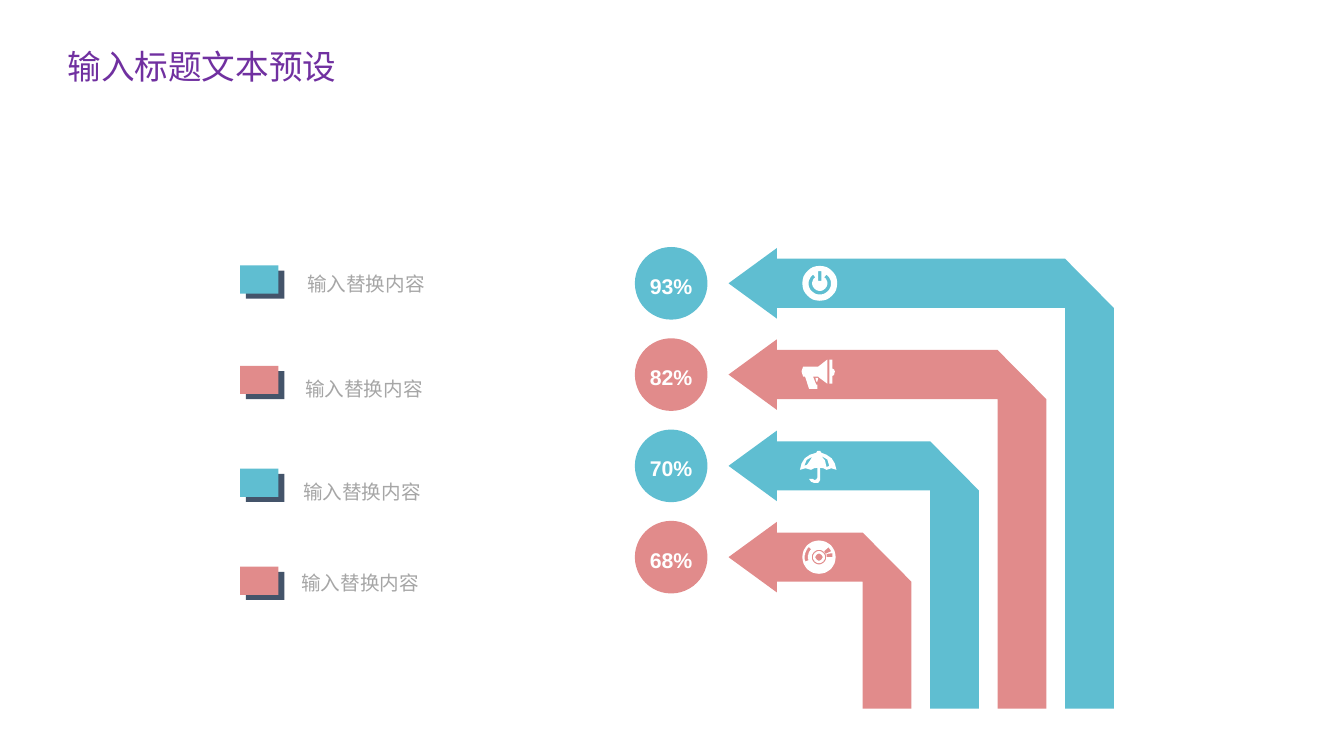
from math import cos, radians, sin

from pptx import Presentation
from pptx.dml.color import RGBColor
from pptx.enum.shapes import MSO_SHAPE as SHAPE
from pptx.enum.text import MSO_ANCHOR as ANCHOR, PP_ALIGN as ALIGN
from pptx.oxml.ns import qn
from pptx.util import Cm, Pt

TEAL = RGBColor(0x5F, 0xBE, 0xD1)
PINK = RGBColor(0xE1, 0x8B, 0x8B)
NAVY = RGBColor(0x44, 0x54, 0x6A)
GREY = RGBColor(0xA6, 0xA6, 0xA6)
PURPLE = RGBColor(0x70, 0x30, 0xA0)
WHITE = RGBColor(0xFF, 0xFF, 0xFF)
CJK = "Noto Sans CJK SC"

UNIT = Cm(0.01)  # outlines are given in hundredths of a centimetre
TIP_X, ICON_X, CIRCLE_X = 18.36, 20.66, 16.0
FIRST_Y, ROW_STEP = 7.14, 2.3
CIRCLE = 1.83


def arc(x, r, start, end, steps=32):
    """Points on a circle centred at (x, 0), angles clockwise from the right."""
    angles = [radians(start + (end - start) * i / steps) for i in range(steps + 1)]
    return [(x + r * cos(a), r * sin(a)) for a in angles]


def band(x, outer, inner, start, end):
    return arc(x, outer, start, end) + arc(x, inner, end, start)


POWER = [
    arc(0, 44, 0, 360),
    [(-4, -31), (4, -31), (4, -6), (-4, -6)],
    band(0, 28, 19, -53, 233),
]
MEGAPHONE = [
    [(-42, -20), (-4, -20), (19, -38), (19, 23), (-1, 8), (-4, 5), (-17, 5),
     (-9, 25), (-6, 25), (-6, 36), (-27, 36), (-37, 5), (-42, 5), (-46, -8)],
    [(24, -38), (32, -38), (32, -15), (36, -13), (38, -8), (36, 1), (32, 3),
     (32, 23), (24, 23)],
    [(-4, 8), (-11, 8), (-9, 18), (-6, 18)],
]
UMBRELLA = [
    [(-50, 10), (-46, -6), (-38, -19), (-25, -28), (-9, -33), (-6, -38),
     (1, -38), (4, -33), (17, -28), (30, -19), (38, -6), (42, 10), (29, 6),
     (17, 10), (9, 6), (1, 5), (1, 36), (-4, 43), (-14, 43), (-22, 40),
     (-27, 33), (-17, 33), (-13, 36), (-9, 34), (-6, 30), (-6, 5), (-14, 6),
     (-22, 10), (-36, 6)],
    [(17, 3), (24, 0), (19, -16), (4, -25), (13, -14)],
    [(-39, 0), (-32, -3), (-25, -13), (-19, -23), (-33, -15)],
]
DISC = [
    *[arc(-2, r, 0, 360) for r in (42, 18, 15, 9)],
    band(-2, 36, 28, 163, 225),
    [(11, -15), (14, -8), (29, -15), (22, -25)],
    [(32, -10), (17, -8), (17, 0), (32, 0)],
]

ARROWS = [
    ("93%", TEAL, POWER),
    ("82%", PINK, MEGAPHONE),
    ("70%", TEAL, UMBRELLA),
    ("68%", PINK, DISC),
]
# swatch top, label left, label top, colour
LEGEND = [
    (6.69, 7.49, 6.6, TEAL),
    (9.22, 7.44, 9.25, PINK),
    (11.81, 7.39, 11.84, TEAL),
    (14.28, 7.34, 14.15, PINK),
]


def paint(s, colour):
    s.shadow.inherit = False
    s.fill.solid()
    s.fill.fore_color.rgb = colour
    s.line.fill.background()


def add_preset(slide, kind, x, y, w, h, colour):
    s = slide.shapes.add_shape(kind, Cm(x), Cm(y), Cm(w), Cm(h))
    paint(s, colour)
    return s


def add_outline(slide, x, y, contours, colour):
    """Closed contours around (x, y); inner contours become holes."""
    builder = slide.shapes.build_freeform(*contours[0][0], scale=UNIT)
    for i, points in enumerate(contours):
        if i:
            builder.move_to(*points[0])
        builder.add_line_segments(points[1:], close=True)
    paint(builder.convert_to_shape(Cm(x), Cm(y)), colour)


def write(tf, text, align, spacing, colour, **font):
    p = tf.paragraphs[0]
    p.alignment = align
    p.line_spacing = spacing
    r = p.add_run()
    r.text = text
    for name, value in font.items():
        setattr(r.font, name, value)
    r.font.color.rgb = colour
    ea = r.font._element.makeelement(qn("a:ea"), {"typeface": CJK})
    r.font._element.find(qn("a:latin")).addnext(ea)


def add_title(slide, text):
    s = slide.shapes.title
    s.left, s.top, s.width, s.height = Cm(1.45), Cm(1.02), Cm(8.53), Cm(1.27)
    s.text_frame.vertical_anchor = ANCHOR.TOP
    write(s.text_frame, text, ALIGN.LEFT, 1.0, PURPLE, name=CJK, size=Pt(24))


def add_arrow(slide, row, percent, colour, icon):
    y = FIRST_Y + row * ROW_STEP
    s = add_preset(slide, SHAPE.OVAL, CIRCLE_X, y - CIRCLE / 2, CIRCLE, CIRCLE, colour)
    tf = s.text_frame
    tf.word_wrap = False
    tf.vertical_anchor = ANCHOR.MIDDLE
    write(tf, percent, ALIGN.CENTER, 1.2, WHITE, name="Arial", size=Pt(15.2), bold=True)

    right, bottom = 971 - 170 * row, 1072 - 230 * row
    inner = right - 123
    add_outline(slide, TIP_X, y, [[
        (0, 0), (122, -89), (122, -62), (inner, -62), (right, 62),
        (right, bottom), (inner, bottom), (inner, 62), (122, 62), (122, 89),
    ]], colour)
    add_outline(slide, ICON_X, y, icon, WHITE)


def add_legend_item(slide, top, label_x, label_y, colour):
    for x, y, fill in ((6.2, top + 0.13, NAVY), (6.05, top, colour)):
        add_preset(slide, SHAPE.RECTANGLE, x, y, 0.97, 0.71, fill)
    tf = slide.shapes.add_textbox(Cm(label_x), Cm(label_y), Cm(7.98), Cm(0.91)).text_frame
    tf.word_wrap = True
    write(tf, "输入替换内容", ALIGN.JUSTIFY, 1.2, GREY, name="Arial", size=Pt(14))


def main():
    prs = Presentation()
    prs.slide_width, prs.slide_height = Cm(33.87), Cm(19.05)
    slide = prs.slides.add_slide(prs.slide_layouts[5])
    add_title(slide, "输入标题文本预设")
    for item in LEGEND:
        add_legend_item(slide, *item)
    for row, arrow in enumerate(ARROWS):
        add_arrow(slide, row, *arrow)
    prs.save("out.pptx")


if __name__ == "__main__":
    main()
